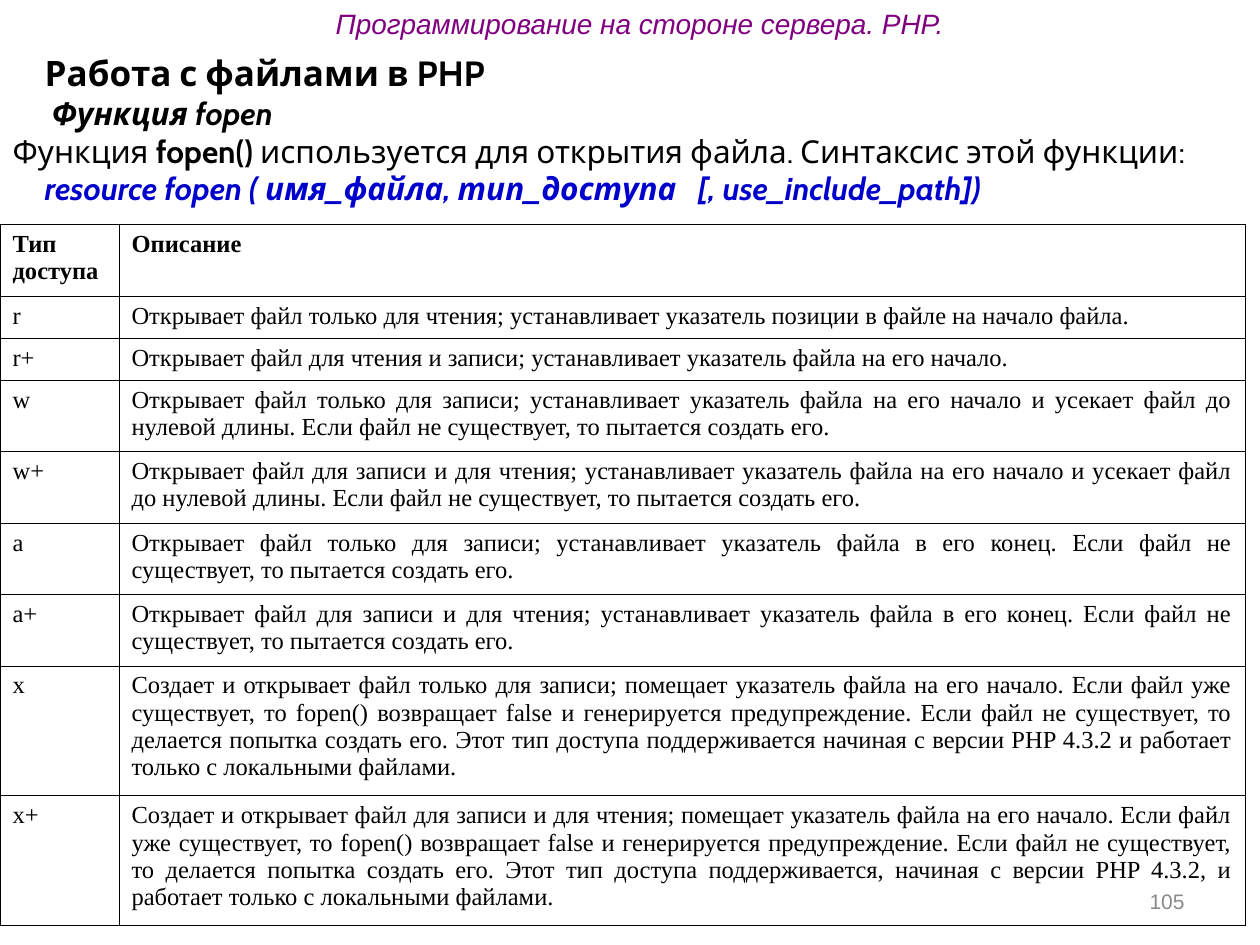
from dataclasses import dataclass

from lxml import etree
from pptx import Presentation
from pptx import util as u
from pptx.dml.color import RGBColor
from pptx.enum import text
from pptx.oxml import ns


@dataclass(frozen=True)
class Theme:
    """Colours, fonts and type sizes of the slide."""
    ink: str = "000000"
    header: str = "800080"
    syntax: str = "0000CC"
    muted: str = "898989"
    sans: str = "Arial"
    body: str = "Cabin"
    serif: str = "Times New Roman"
    header_size: int = 16
    heading_size: int = 20
    body_size: int = 18
    table_size: int = 14
    number_size: int = 12
    rule: float = 0.45


THEME = Theme()
PX = 914400 / 126

INTRO = [
    (32, [("Работа с файлами в PHP", dict(size=THEME.heading_size, bold=True))]),
    (39, [("Функция fopen", dict(bold=True, italic=True))]),
    (0, [("Функция ", {}), ("fopen()", dict(bold=True)),
         (" используется для открытия файла. Синтаксис этой функции:", {})]),
    (32, [("resource fopen ( имя_файла, тип_доступа   [, use_include_path])",
           dict(color=THEME.syntax, bold=True, italic=True))]),
]

COLUMNS = [119, 1126]
ROWS = [
    (72, "Тип доступа", "Описание"),
    (42, "r", "Открывает файл только для чтения; устанавливает указатель позиции "
              "в файле на начало файла."),
    (42, "r+", "Открывает файл для чтения и записи; устанавливает указатель файла "
               "на его начало."),
    (71, "w", "Открывает файл только для записи; устанавливает указатель файла на "
              "его начало и усекает файл до нулевой длины. Если файл не существует, "
              "то пытается создать его."),
    (72, "w+", "Открывает файл для записи и для чтения; устанавливает указатель файла "
               "на его начало и усекает файл до нулевой длины. Если файл не "
               "существует, то пытается создать его."),
    (71, "a", "Открывает файл только для записи; устанавливает указатель файла в его "
              "конец. Если файл не существует, то пытается создать его."),
    (72, "a+", "Открывает файл для записи и для чтения; устанавливает указатель файла "
               "в его конец. Если файл не существует, то пытается создать его."),
    (130, "x", "Создает и открывает файл только для записи; помещает указатель файла "
               "на его начало. Если файл уже существует, то fopen() возвращает false "
               "и генерируется предупреждение. Если файл не существует, то делается "
               "попытка создать его. Этот тип доступа поддерживается начиная с версии "
               "PHP 4.3.2 и работает только с локальными файлами."),
    (130, "x+", "Создает и открывает файл для записи и для чтения; помещает указатель "
                "файла на его начало. Если файл уже существует, то fopen() возвращает "
                "false и генерируется предупреждение. Если файл не существует, то "
                "делается попытка создать его. Этот тип доступа поддерживается, "
                "начиная с версии PHP 4.3.2, и работает только с локальными файлами."),
]


def px(length):
    """Turn whole pixels into EMU."""
    return u.Emu(round(length * PX))


def place(shape, box):
    """Move a shape to a box given as left, top, width, height."""
    shape.left, shape.top, shape.width, shape.height = map(px, box)


def set_frame(frame, anchor):
    """Make a text frame wrap at a fixed size."""
    frame.word_wrap = True
    frame.auto_size = text.MSO_AUTO_SIZE.NONE
    frame.vertical_anchor = anchor


def add_span(para, words, font, size, color=THEME.ink, bold=False, italic=False):
    """Add one formatted run to a paragraph."""
    span = para.add_run()
    span.text = words
    span.font.name = font
    span.font.size = u.Pt(size)
    span.font.color.rgb = RGBColor.from_string(color)
    span.font.bold = bold
    span.font.italic = italic


def add_header(page, box):
    """Set the course name in the title placeholder."""
    title = page.shapes.title
    place(title, box)
    set_frame(title.text_frame, text.MSO_ANCHOR.TOP)
    para = title.text_frame.paragraphs[0]
    para.alignment = text.PP_ALIGN.LEFT
    add_span(para, "Программирование на стороне сервера. PHP.", THEME.sans,
             THEME.header_size, THEME.header, italic=True)


def add_intro(page, box):
    """Fill the body placeholder with the heading and the syntax lines."""
    body = page.placeholders[1]
    place(body, box)
    frame = body.text_frame
    set_frame(frame, text.MSO_ANCHOR.MIDDLE)
    for index, (indent, spans) in enumerate(INTRO):
        para = frame.add_paragraph() if index else frame.paragraphs[0]
        props = para._p.get_or_add_pPr()
        props.set("marL", str(px(indent)))
        props.set("indent", "0")
        etree.SubElement(props, ns.qn("a:buNone"))
        para.space_before = u.Pt(0)
        for words, style in spans:
            add_span(para, words, THEME.body, **{"size": THEME.body_size, **style})


def set_borders(cell):
    """Draw a thin rule on the four sides of a cell."""
    props = cell._tc.get_or_add_tcPr()
    for side in ("lnL", "lnR", "lnT", "lnB"):
        line = etree.SubElement(props, ns.qn(f"a:{side}"), w=str(u.Pt(THEME.rule)))
        fill = etree.SubElement(line, ns.qn("a:solidFill"))
        etree.SubElement(fill, ns.qn("a:srgbClr"), val=THEME.ink)


def add_modes(page, box):
    """Add the table of access modes."""
    table = page.shapes.add_table(len(ROWS), len(COLUMNS), *map(px, box)).table
    table.first_row = table.horz_banding = False
    for column, width in zip(table.columns, COLUMNS):
        column.width = px(width)
    for index, (height, *words) in enumerate(ROWS):
        table.rows[index].height = px(height)
        for cell, content in zip(table.rows[index].cells, words):
            set_borders(cell)
            cell.fill.background()
            para = cell.text_frame.paragraphs[0]
            para.alignment = text.PP_ALIGN.JUSTIFY
            add_span(para, content, THEME.serif, THEME.table_size, bold=index == 0)


def add_number(page, box):
    """Add the page number."""
    number = page.shapes.add_textbox(*map(px, box))
    set_frame(number.text_frame, text.MSO_ANCHOR.MIDDLE)
    para = number.text_frame.paragraphs[0]
    para.alignment = text.PP_ALIGN.RIGHT
    add_span(para, "105", THEME.sans, THEME.number_size, THEME.muted)


def main():
    """Build the deck and save it."""
    deck = Presentation()
    deck.slide_width, deck.slide_height = px(1260), px(945)
    page = deck.slides.add_slide(deck.slide_layouts[1])
    add_header(page, (323, 0, 645, 47))
    add_intro(page, (0, 26, 1260, 207))
    add_modes(page, (0, 224, sum(COLUMNS), sum(row[0] for row in ROWS)))
    add_number(page, (903, 876, 294, 50))
    deck.save("out.pptx")


if __name__ == "__main__":
    main()
